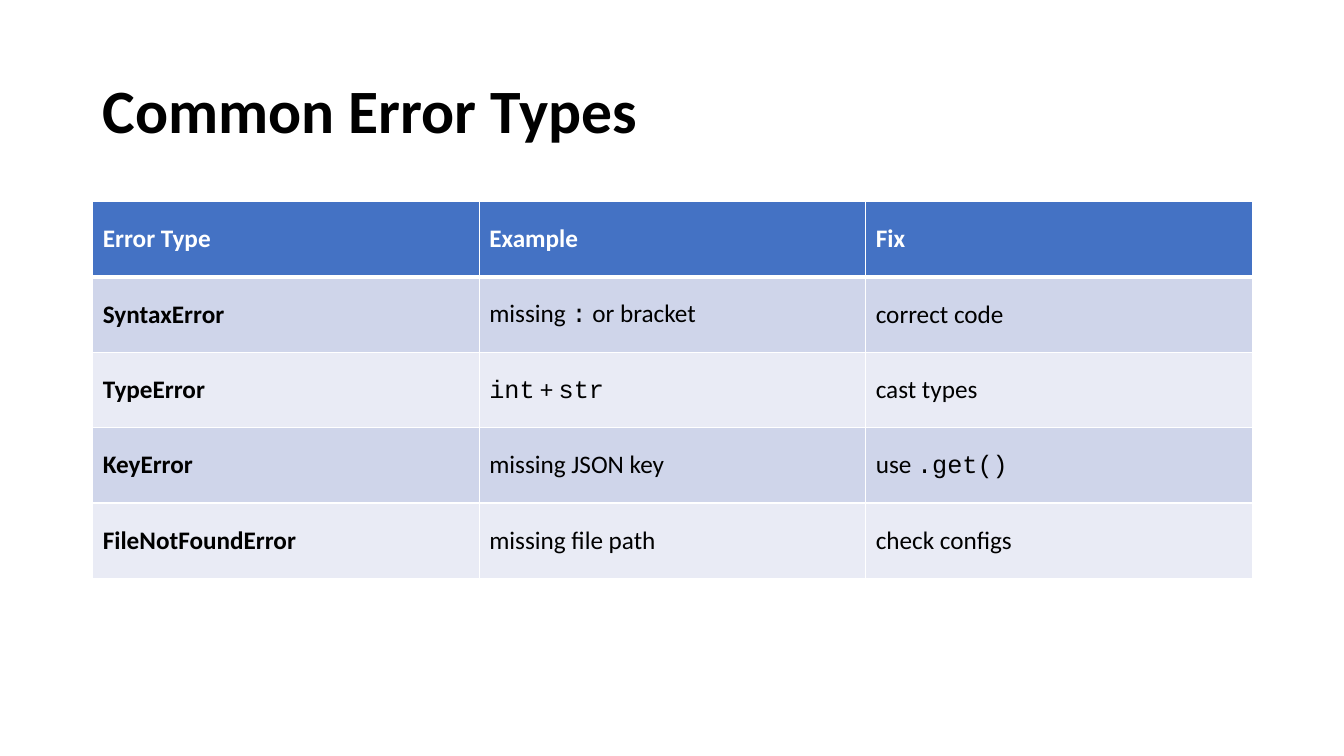
from dataclasses import dataclass

from lxml.etree import SubElement
from pptx import Presentation
from pptx.dml.color import RGBColor
from pptx.enum.text import MSO_ANCHOR, MSO_AUTO_SIZE, PP_ALIGN
from pptx.oxml.ns import qn
from pptx.util import Inches, Pt


@dataclass(frozen=True)
class Theme:
    font: str = "Calibri"
    mono: str = "Courier New"
    ink: str = "000000"
    white: str = "FFFFFF"
    head: str = "4472C4"
    bands: tuple = ("CFD5EA", "E9EBF5")
    title: int = 44
    body: int = 18
    thin: int = 1
    thick: int = 3


THEME = Theme()

# Text between backticks is set in the code font
ROWS = [
    ("Error Type", "Example", "Fix"),
    ("SyntaxError", "missing `:` or bracket", "correct code"),
    ("TypeError", "`int` + `str`", "cast types"),
    ("KeyError", "missing JSON key", "use `.get()`"),
    ("FileNotFoundError", "missing file path", "check configs"),
]


def add_text(para, text, size, color, bold):
    for i, part in enumerate(text.split("`")):
        if part:
            run = para.add_run()
            run.text = part
            font = run.font
            font.name = THEME.mono if i % 2 else THEME.font
            font.size = Pt(size)
            font.bold = bold
            font.color.rgb = RGBColor.from_string(color)


def add_edges(cell, top, bottom):
    props = cell._tc.get_or_add_tcPr()
    widths = {"L": THEME.thin, "R": THEME.thin, "T": top, "B": bottom}
    for side, width in widths.items():
        line = SubElement(props, qn(f"a:ln{side}"), w=str(Pt(width)))
        fill = SubElement(line, qn("a:solidFill"))
        SubElement(fill, qn("a:srgbClr"), val=THEME.white)


def add_title(slide, text, left, top, width, height):
    title = slide.shapes.title
    title.left, title.top = Inches(left), Inches(top)
    title.width, title.height = Inches(width), Inches(height)
    frame = title.text_frame
    frame.word_wrap = True
    frame.auto_size = MSO_AUTO_SIZE.NONE
    frame.vertical_anchor = MSO_ANCHOR.MIDDLE
    para = frame.paragraphs[0]
    para.alignment = PP_ALIGN.LEFT
    para.line_spacing = 0.9
    add_text(para, text, THEME.title, THEME.ink, True)


def add_grid(slide, rows, left, top, width, height):
    table = slide.shapes.add_table(
        len(rows), len(rows[0]),
        Inches(left), Inches(top), Inches(width), Inches(height),
    ).table
    for r, row in enumerate(rows):
        head = r == 0
        shade = THEME.head if head else THEME.bands[(r - 1) % 2]
        color = THEME.white if head else THEME.ink
        for c, text in enumerate(row):
            cell = table.cell(r, c)
            # The rule under the header is thicker than the rest
            add_edges(cell, THEME.thick if r == 1 else THEME.thin,
                      THEME.thick if head else THEME.thin)
            cell.fill.solid()
            cell.fill.fore_color.rgb = RGBColor.from_string(shade)
            cell.vertical_anchor = MSO_ANCHOR.MIDDLE
            add_text(cell.text_frame.paragraphs[0], text,
                     THEME.body, color, head or c == 0)


def main():
    deck = Presentation()
    deck.slide_width, deck.slide_height = Inches(13.33), Inches(7.5)
    slide = deck.slides.add_slide(deck.slide_layouts[5])
    left, width = 0.92, 11.5
    # Title
    add_title(slide, "Common Error Types", left, 0.4, width, 1.45)
    # Error table
    add_grid(slide, ROWS, left, 2, width, 3.74)
    deck.save("out.pptx")


if __name__ == "__main__":
    main()
